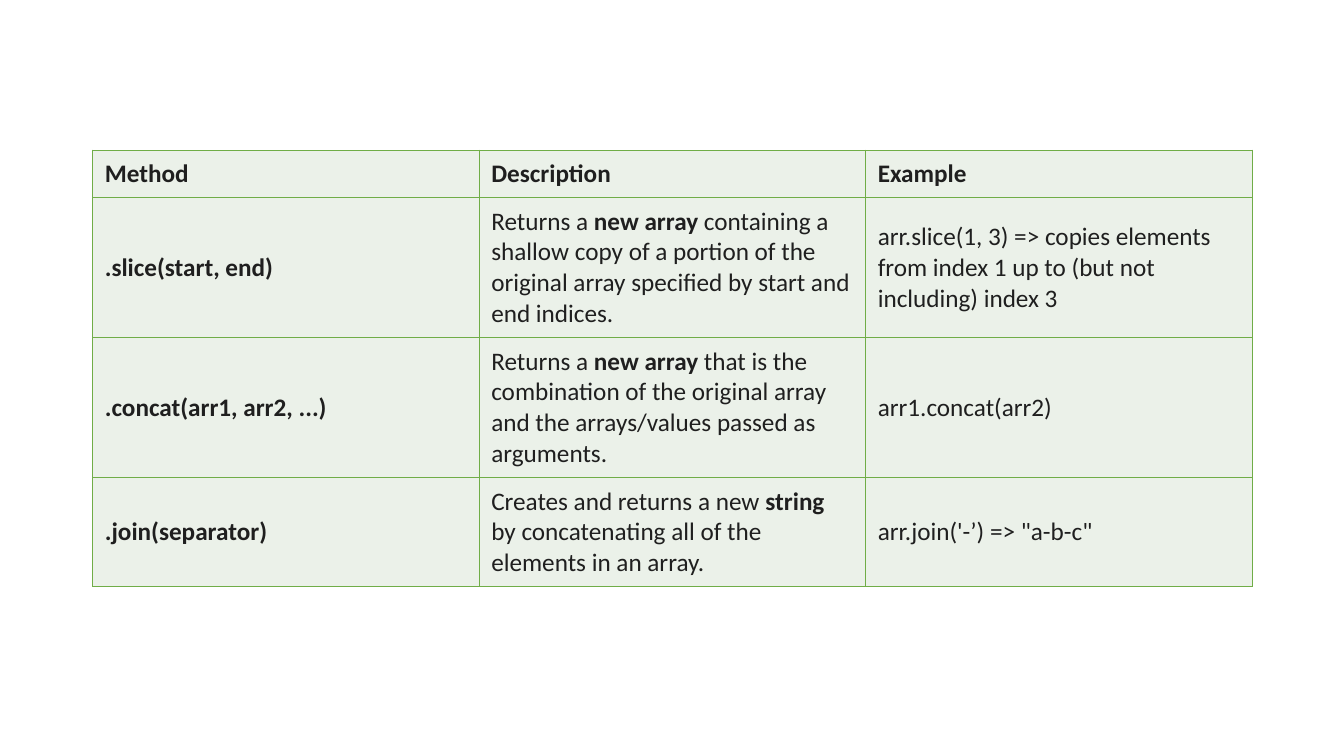
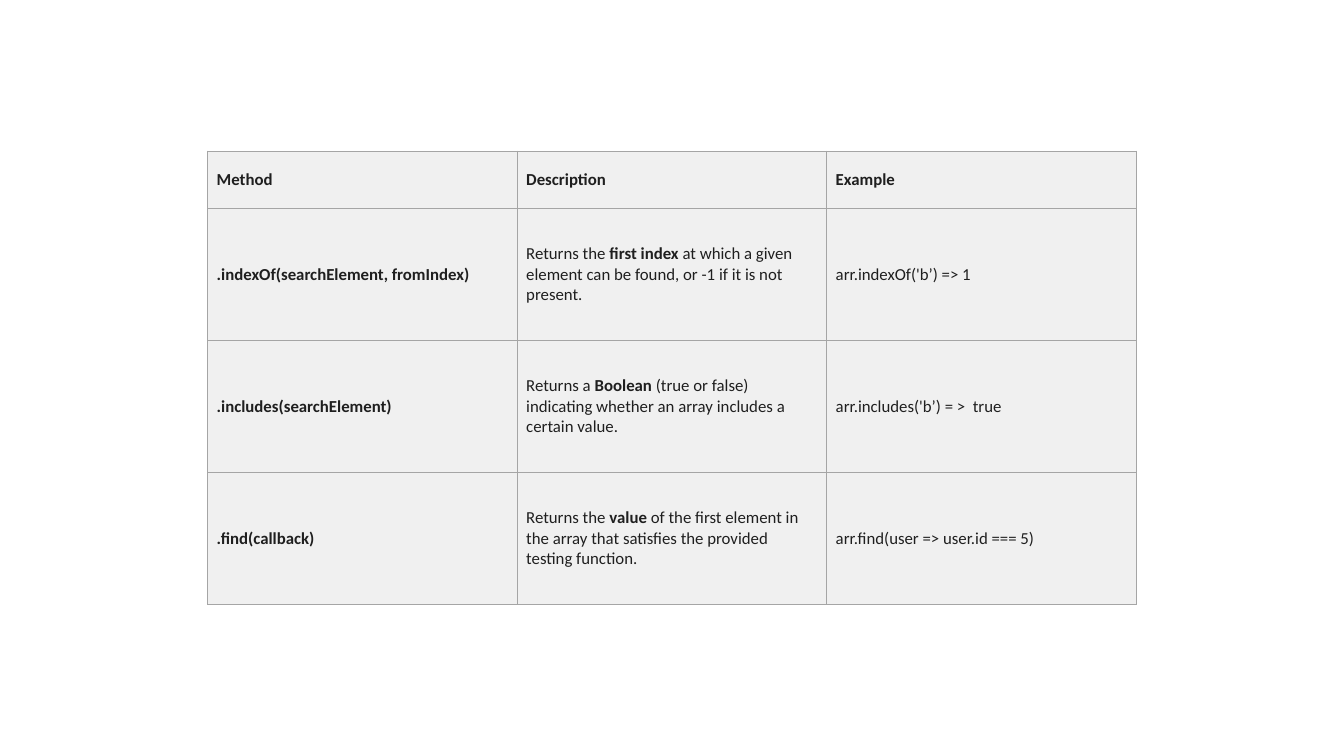
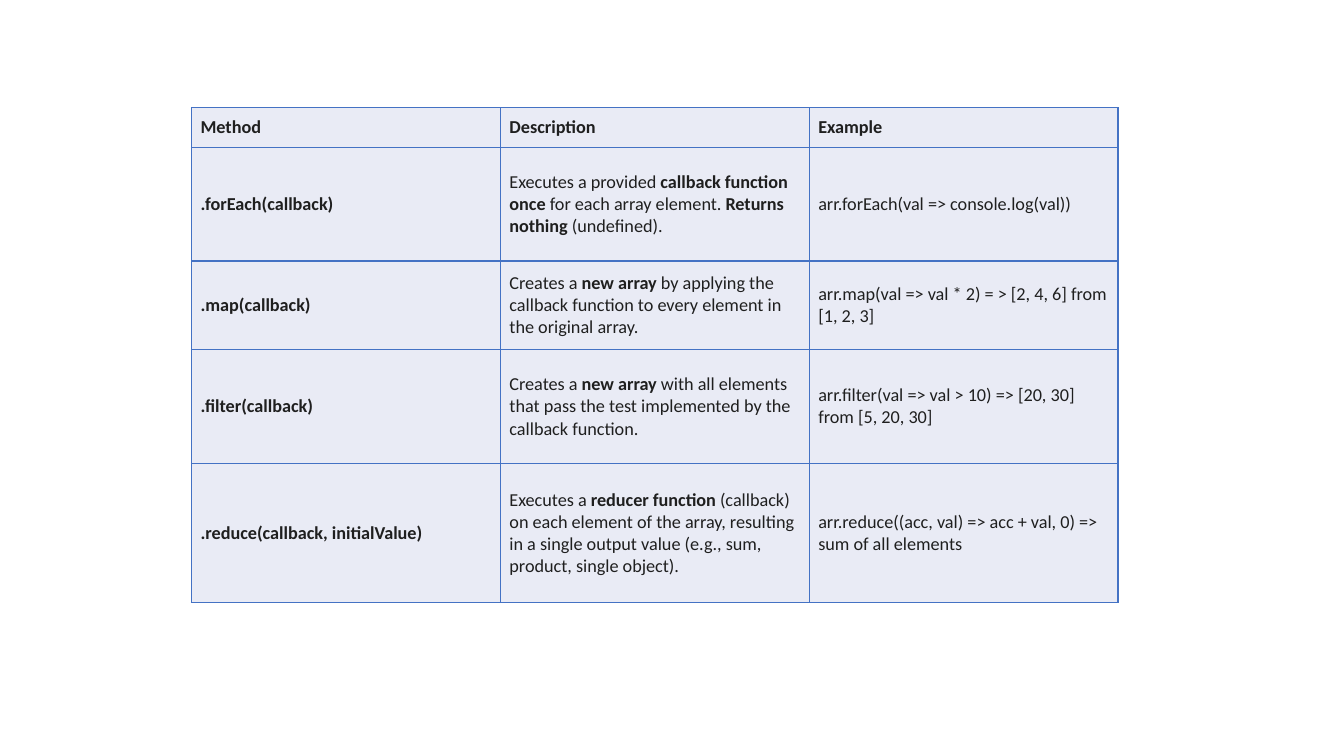
from pptx import Presentation
from pptx.dml.color import RGBColor
from pptx.enum.text import MSO_ANCHOR
from pptx.oxml.ns import qn
from pptx.util import Inches, Pt
from lxml.etree import SubElement

INK = RGBColor(0x1F, 0x1F, 0x1F)
GREEN = RGBColor(0x70, 0xAD, 0x47)
MINT = RGBColor(0xEB, 0xF1, 0xE9)
GRAY = RGBColor(0xA5, 0xA5, 0xA5)
PALE = RGBColor(0xF0, 0xF0, 0xF0)
BLUE = RGBColor(0x44, 0x72, 0xC4)
ICE = RGBColor(0xE9, 0xEB, 0xF5)

FONT = "Calibri"
BLANK = 6
HEAD = ("Method", "Description", "Example")

# Table rows; ** marks the start and end of bold words
COPY = [
    (".slice(start, end)",
     "Returns a **new array** containing a shallow copy of a portion of the "
     "original array specified by start and end indices.",
     "arr.slice(1, 3) => copies elements from index 1 up to (but not including) index 3"),
    (".concat(arr1, arr2, ...)",
     "Returns a **new array** that is the combination of the original array "
     "and the arrays/values passed as arguments.",
     "arr1.concat(arr2)"),
    (".join(separator)",
     "Creates and returns a new **string** by concatenating all of the elements in an array.",
     "arr.join('-’) => \"a-b-c\""),
]
SEARCH = [
    (".indexOf(searchElement, fromIndex)",
     "Returns the **first index** at which a given element can be found, "
     "or -1 if it is not present.",
     "arr.indexOf('b’) => 1"),
    (".includes(searchElement)",
     "Returns a **Boolean** (true or false) indicating whether an array "
     "includes a certain value.",
     "arr.includes('b’) = >  true"),
    (".find(callback)",
     "Returns the **value** of the first element in the array that satisfies "
     "the provided testing function.",
     "arr.find(user => user.id === 5)"),
]
LOOP = [
    (".forEach(callback)",
     "Executes a provided **callback function once** for each array element. "
     "**Returns nothing** (undefined).",
     "arr.forEach(val => console.log(val))"),
    (".map(callback)",
     "Creates a **new array** by applying the callback function to every "
     "element in the original array.",
     "arr.map(val => val * 2) = > [2, 4, 6] from [1, 2, 3]"),
    (".filter(callback)",
     "Creates a **new array** with all elements that pass the test "
     "implemented by the callback function.",
     "arr.filter(val => val > 10) => [20, 30] from [5, 20, 30]"),
    (".reduce(callback, initialValue)",
     "Executes a **reducer function** (callback) on each element of the array, "
     "resulting in a single output value (e.g., sum, product, single object).",
     "arr.reduce((acc, val) => acc + val, 0) => sum of all elements"),
]


class Deck:
    def __init__(self):
        self.prs = Presentation()
        self.prs.slide_width = Inches(13.33)
        self.prs.slide_height = Inches(7.5)
        self.slide = None

    def page(self, line, fill, size, pad):
        """Start a slide and set the style of its table."""
        self.slide = self.prs.slides.add_slide(self.prs.slide_layouts[BLANK])
        self.line, self.fill, self.size = line, fill, size
        self.pad = [Inches(gap) for gap in pad]

    def table(self, left, top, width, tall, rows):
        """Draw a header and rows in columns of equal width."""
        grid = [HEAD, *rows]
        table = self.slide.shapes.add_table(
            len(grid), len(HEAD), Inches(left), Inches(top),
            Inches(width), Inches(sum(tall))).table
        table.first_row = table.horz_banding = False
        for row, high in zip(table.rows, tall):
            row.height = Inches(high)
        for y, texts in enumerate(grid):
            for x, text in enumerate(texts):
                self.cell(table.cell(y, x), text, y == 0 or x == 0)

    def cell(self, cell, text, bold):
        """Fill one cell; odd parts between the marks are bold."""
        cell.vertical_anchor = MSO_ANCHOR.MIDDLE
        cell.margin_left = cell.margin_right = self.pad[0]
        cell.margin_top = cell.margin_bottom = self.pad[1]
        par = cell.text_frame.paragraphs[0]
        font = par.font
        font.name, font.size, font.bold = FONT, Pt(self.size), bold
        font.color.rgb = INK
        for i, part in enumerate(text.split("**")):
            run = par.add_run()
            run.text = part
            if i % 2:
                run.font.bold = True
        self.border(cell)
        cell.fill.solid()
        cell.fill.fore_color.rgb = self.fill

    def border(self, cell):
        """Rule all four sides of a cell."""
        props = cell._tc.get_or_add_tcPr()
        for side in ("a:lnL", "a:lnR", "a:lnT", "a:lnB"):
            edge = SubElement(props, qn(side), w=str(Pt(1)))
            paint = SubElement(edge, qn("a:solidFill"))
            SubElement(paint, qn("a:srgbClr"), val=str(self.line))


def main():
    deck = Deck()

    # Copying and joining
    deck.page(GREEN, MINT, 18, (0.12, 0.08))
    deck.table(0.92, 1.49, 11.5, [0.47, 1.39, 1.39, 1.08], COPY)

    # Searching
    deck.page(GRAY, PALE, 12, (0.09, 0.06))
    deck.table(2.06, 1.5, 9.21, [0.57] + [1.31] * 3, SEARCH)

    # Looping with callbacks
    deck.page(BLUE, ICE, 13, (0.09, 0.06))
    deck.table(1.9, 1.07, 9.19, [0.39, 1.13, 0.88, 1.13, 1.38], LOOP)

    deck.prs.save("out.pptx")


if __name__ == "__main__":
    main()
